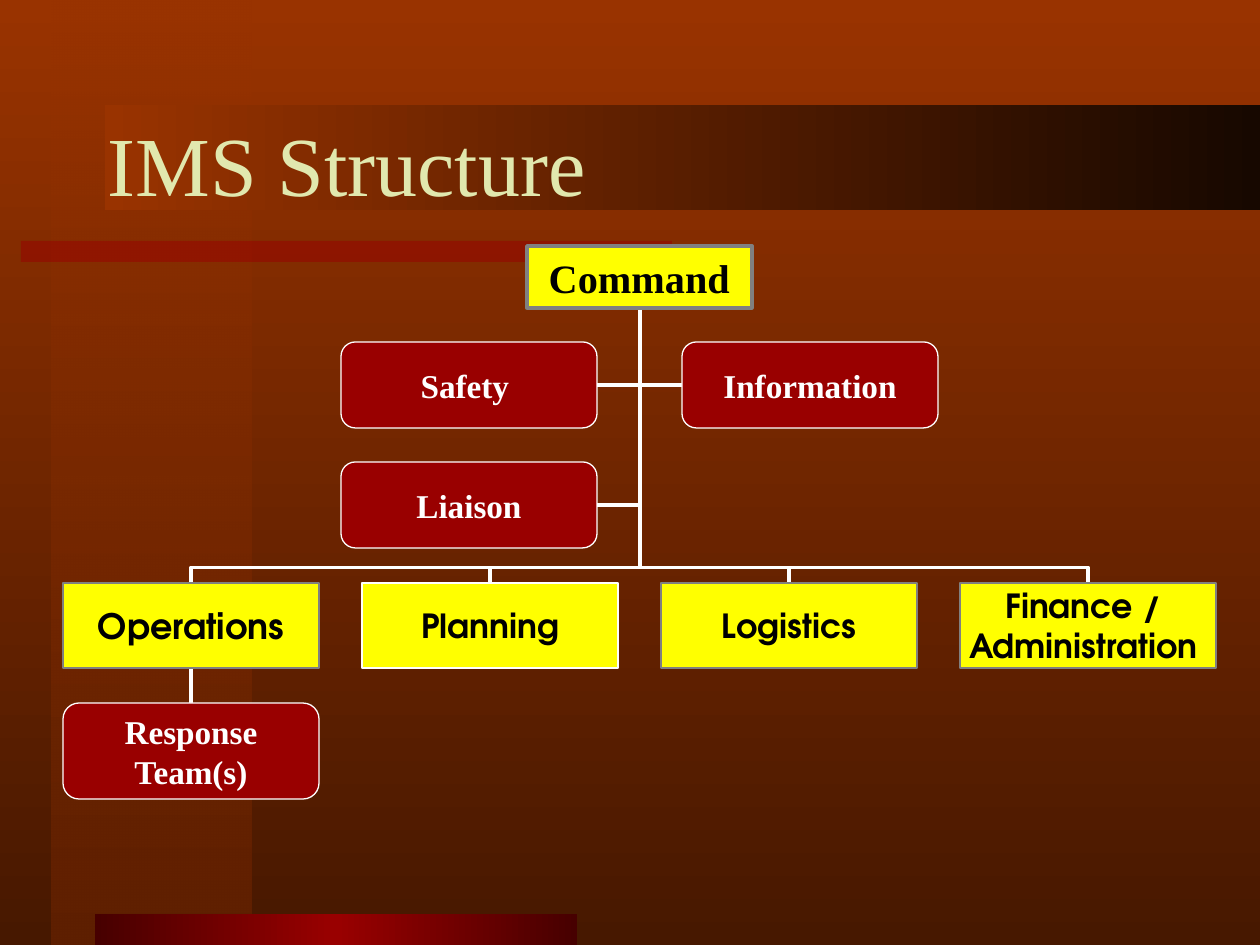
import pptx
import pptx.util
import pptx.dml.color
import pptx.enum.shapes
import pptx.enum.text
import pptx.oxml.ns
import lxml.etree

PX = 914400 / 126
COLORS = {
    "rust": "993300", "brown": "471800", "umber": "5F2000", "night": "170800",
    "crimson": "990000", "maroon": "470000", "cream": "E1E8AE",
    "yellow": "FFFF00", "gray": "808080", "white": "FFFFFF", "black": "000000",
}
RGB = {name: pptx.dml.color.RGBColor.from_string(code) for name, code in COLORS.items()}
SERIF, SANS = "Times New Roman", "TeX Gyre Adventor"
SHAPE = pptx.enum.shapes.MSO_SHAPE
ALIGN = pptx.enum.text.PP_ALIGN
qn = pptx.oxml.ns.qn


def emu(*lengths):
    return [pptx.util.Emu(round(length * PX)) for length in lengths]


def paint_gradient(fill, root, angle, stops):
    fill.gradient()
    fill.gradient_angle = angle
    stop_list = next(root.iter(qn("a:gsLst")))
    for old in list(stop_list):
        stop_list.remove(old)
    for position, color, opacity in stops:
        stop = lxml.etree.SubElement(stop_list, qn("a:gs"), pos=str(position * 1000))
        tone = lxml.etree.SubElement(stop, qn("a:srgbClr"), val=COLORS[color])
        if opacity < 100:
            lxml.etree.SubElement(tone, qn("a:alpha"), val=str(opacity * 1000))


deck = pptx.Presentation()
deck.slide_width, deck.slide_height = emu(1260, 945)
slide = deck.slides.add_slide(deck.slide_layouts[5])
paint_gradient(slide.background.fill, slide._element, 270,
               [(0, "rust", 100), (100, "brown", 100)])

bands = [
    ((52, 0, 200, 945), 270, [(0, "rust", 50), (100, "umber", 100)]),
    ((21, 241, 651, 21), 0, [(0, "crimson", 50), (100, "crimson", 50)]),
    ((95, 914, 482, 31), 0, [(0, "maroon", 100), (50, "crimson", 100), (100, "maroon", 100)]),
    ((105, 105, 1155, 105), 0, [(0, "rust", 100), (100, "night", 100)]),
]
for place, angle, stops in bands:
    band = slide.shapes.add_shape(SHAPE.RECTANGLE, *emu(*place))
    band.shadow.inherit = False
    band.line.fill.background()
    paint_gradient(band.fill, band._element, angle, stops)

title = slide.shapes.title
title.left, title.top, title.width, title.height = emu(95, 84, 1071, 158)
title.text_frame.text = "IMS Structure"
title.text_frame.vertical_anchor = pptx.enum.text.MSO_ANCHOR.MIDDLE
heading = title.text_frame.paragraphs[0]
heading.alignment = ALIGN.LEFT
heading.runs[0].font.name = SERIF
heading.runs[0].font.size = pptx.util.Pt(48)
heading.runs[0].font.color.rgb = RGB["cream"]
slide.shapes._spTree.append(title._element)

box_width, section_height, staff_height = 256, 85, 86
section_left, section_step, section_top = 63, 299, 583
section_centers = [section_left + section_step * i + box_width // 2 for i in range(4)]
trunk, command_bottom = 640, 309
staff_left, staff_right = 341, 682
staff_rows = [342, 462]
response_top = 703

links = []
for row in reversed(staff_rows):
    drop = row + staff_height // 2 - command_bottom
    start = staff_left + box_width
    links.append((start, command_bottom, trunk - start, drop, 0, "v", 2.25))
drop = staff_rows[0] + staff_height // 2 - command_bottom
links.append((trunk, command_bottom, staff_right - trunk, drop, 180, "", 2.25))
section_bottom = section_top + section_height
links.append((section_centers[0], section_bottom, 0, response_top - section_bottom, 0, "v", 2.25))
rise = section_top - command_bottom
for center in reversed(section_centers):
    reach = abs(center - trunk)
    left = (center + trunk - rise) / 2
    top = (section_top + command_bottom - reach) / 2
    turn, flips = (90, "hv") if center < trunk else (270, "v")
    links.append((left, top, rise, reach, turn, flips, 2))

for left, top, width, height, turn, flips, weight in links:
    link = slide.shapes.add_connector(
        pptx.enum.shapes.MSO_CONNECTOR.ELBOW, *emu(left, top, left + width, top + height))
    link.line.color.rgb = RGB["white"]
    link.line.width = pptx.util.Pt(weight)
    properties = link._element.spPr
    lxml.etree.SubElement(properties, qn("a:effectLst"))
    frame = properties.find(qn("a:xfrm"))
    frame.set("rot", str(turn * 60000))
    for axis in flips:
        frame.set("flip" + axis.upper(), "1")
    geometry = properties.find(qn("a:prstGeom"))
    if turn in (90, 270):
        lxml.etree.SubElement(geometry.find(qn("a:avLst")), qn("a:gd"),
                              name="adj1", fmla="val 5700")
    else:
        geometry.set("prst", "bentConnector2")

boxes = [("Command", (527, 246, 225, 62), "yellow", "gray", 2, SERIF, 23)]
sections = [("Operations", "gray", 20), ("Planning", "white", 19),
            ("Logistics", "gray", 19), ("Finance / \nAdministration ", "gray", 19)]
for i, (label, outline, size) in enumerate(sections):
    place = (section_left + section_step * i, section_top, box_width, section_height)
    boxes.append((label, place, "yellow", outline, 1, SANS, size))
staff = [
    ("Response\nTeam(s)", section_left, response_top, 96),
    ("Safety ", staff_left, staff_rows[0], staff_height),
    ("Information", staff_right, staff_rows[0], staff_height),
    ("Liaison", staff_left, staff_rows[1], staff_height),
]
for label, left, top, height in staff:
    boxes.append((label, (left, top, box_width, height), "crimson", "white", 0.75, SERIF, 19))

for label, place, color, outline, weight, face, size in boxes:
    rounded = color == "crimson"
    kind = SHAPE.ROUNDED_RECTANGLE if rounded else SHAPE.RECTANGLE
    box = slide.shapes.add_shape(kind, *emu(*place))
    box.shadow.inherit = False
    box.fill.solid()
    box.fill.fore_color.rgb = RGB[color]
    box.line.color.rgb = RGB[outline]
    box.line.width = pptx.util.Pt(weight)
    frame = box.text_frame
    frame.word_wrap = False
    frame.vertical_anchor = pptx.enum.text.MSO_ANCHOR.MIDDLE
    frame.margin_left = frame.margin_right = emu(6)[0]
    frame.margin_top = frame.margin_bottom = emu(3)[0]
    frame.text = label
    for paragraph in frame.paragraphs:
        paragraph.alignment = ALIGN.CENTER
        font = paragraph.runs[0].font
        font.name = face
        font.size = pptx.util.Pt(size)
        font.bold = True
        font.color.rgb = RGB["white" if rounded else "black"]

deck.save("out.pptx")
